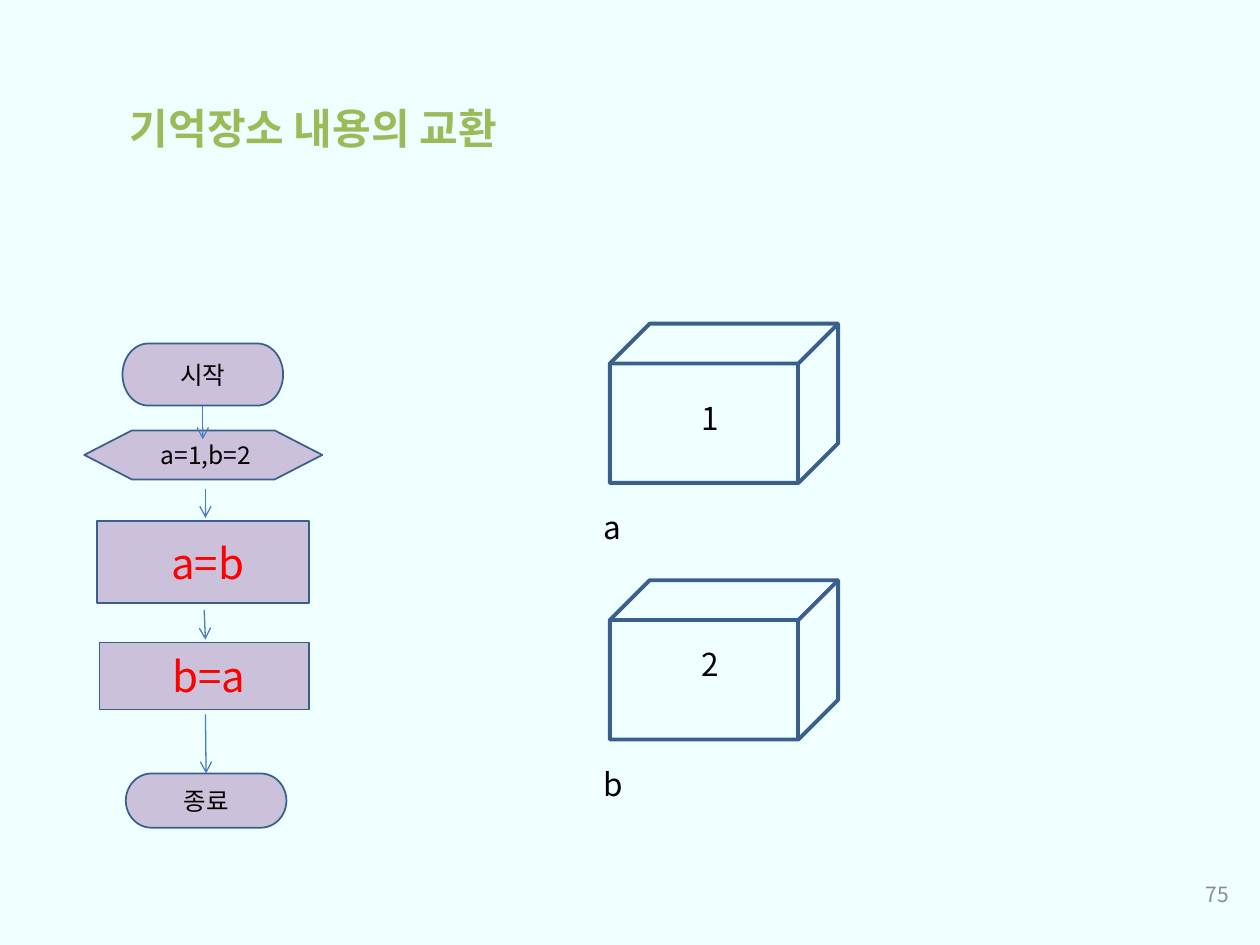
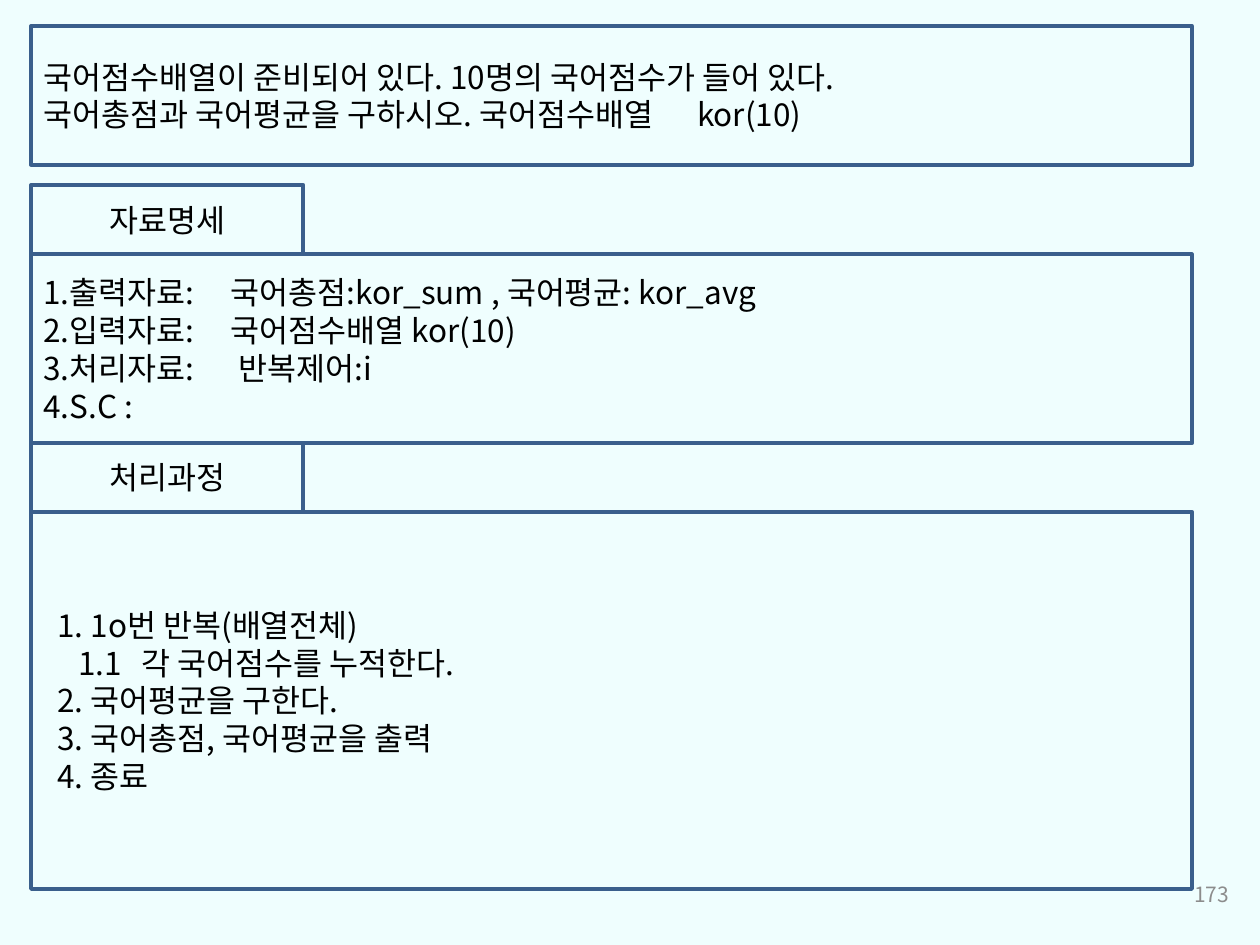
from lxml import etree
from pptx import Presentation
from pptx import util as u
from pptx.dml.color import RGBColor
from pptx.enum import shapes, text
from pptx.oxml.ns import qn

FONT = "Noto Sans CJK KR"
COLORS = {
    "background": "EFFEFE",
    "title": "9BBB59",
    "step": "CCC1DA",
    "outline": "3A5F8C",
    "arrow": "4B7EBC",
    "text": "000000",
    "assignment": "FF0000",
    "number": "8C8C8C",
}
ALIGN = text.PP_ALIGN
ANCHOR = text.MSO_ANCHOR
KIND = shapes.MSO_SHAPE


def write(shape, lines, size=18, color="text", bold=False, align=ALIGN.LEFT,
          anchor=ANCHOR.TOP, wrap=True, shift=0):
    """Each line is a string or a tuple (string, left indent, tab stop)."""
    frame = shape.text_frame
    frame.auto_size = text.MSO_AUTO_SIZE.NONE
    frame.word_wrap = wrap
    frame.vertical_anchor = anchor
    frame.margin_left = u.Pt(7.2 + shift)
    for index, line in enumerate(lines):
        content, indent, tab = (line, 0, 0) if isinstance(line, str) else line
        paragraph = frame.add_paragraph() if index else frame.paragraphs[0]
        paragraph.alignment = align
        paragraph.line_spacing = u.Pt(size * 1.2)
        paragraph.space_before = u.Pt(0)
        properties = paragraph._p.get_or_add_pPr()
        if indent:
            properties.set("marL", str(u.Pt(indent)))
            properties.set("indent", "0")
        if tab:
            tabs = etree.SubElement(properties, qn("a:tabLst"))
            etree.SubElement(tabs, qn("a:tab"), pos=str(u.Pt(tab)), algn="l")
        run = paragraph.add_run()
        run.text = content
        run.font.size = u.Pt(size)
        run.font.bold = bold
        run.font.color.rgb = RGBColor.from_string(COLORS[color])
        run.font.name = FONT
        etree.SubElement(run._r.get_or_add_rPr(), qn("a:ea"), typeface=FONT)


def add_outlined(slide, kind, box, line_width=2.25, fill=None):
    shape = slide.shapes.add_shape(kind, *map(u.Pt, box))
    shape.shadow.inherit = False
    if fill:
        shape.fill.solid()
        shape.fill.fore_color.rgb = RGBColor.from_string(COLORS[fill])
    else:
        shape.fill.background()
    shape.line.color.rgb = RGBColor.from_string(COLORS["outline"])
    shape.line.width = u.Pt(line_width)
    return shape


presentation = Presentation()
presentation.slide_width, presentation.slide_height = u.Pt(720), u.Pt(540)

# Shared background, slides and page numbers
background = presentation.slide_master.background.fill
background.solid()
background.fore_color.rgb = RGBColor.from_string(COLORS["background"])
swap_slide = presentation.slides.add_slide(presentation.slide_layouts[5])
score_slide = presentation.slides.add_slide(presentation.slide_layouts[6])
for slide, number in ((swap_slide, "75"), (score_slide, "173")):
    box = slide.shapes.add_textbox(u.Pt(541.5), u.Pt(496.8), u.Pt(168), u.Pt(28.8))
    write(box, [number], size=12, color="number", align=ALIGN.RIGHT, anchor=ANCHOR.MIDDLE)

# Slide 1: title
title = swap_slide.shapes.title
title.left, title.top, title.width, title.height = map(u.Pt, (54, 54.7, 250, 36))
write(title, ["기억장소 내용의 교환"], size=24, color="title", bold=True,
      align=ALIGN.CENTER, anchor=ANCHOR.MIDDLE, wrap=False)

# Slide 1: flowchart steps
steps = [
    (KIND.FLOWCHART_TERMINATOR, (70, 196.3, 91.8, 35.5), "시작", 14, "text", 0),
    (KIND.FLOWCHART_PREPARATION, (48.2, 246, 136, 28), "a=1,b=2", 14, "text", 3),
    (KIND.FLOWCHART_PROCESS, (55.4, 297.8, 121.2, 47), "a=b", 24, "assignment", 5.4),
    (KIND.FLOWCHART_PROCESS, (56.9, 367.2, 119.7, 38.2), "b=a", 24, "assignment", 5.4),
    (KIND.FLOWCHART_TERMINATOR, (71.9, 442, 91.8, 31), "종료", 14, "text", 0),
]
step_shapes = []
for kind, box, label, size, color, shift in steps:
    step = add_outlined(swap_slide, kind, box, line_width=1, fill="step")
    write(step, [label], size=size, color=color, align=ALIGN.CENTER,
          anchor=ANCHOR.MIDDLE, shift=shift)
    step_shapes.append(step)

# Slide 1: arrows between the steps
arrows = []
for start_x, start_y, end_x, end_y in (
    (115.9, 231.8, 115.9, 251),
    (117.4, 279.4, 117.4, 296),
    (116.7, 348.5, 117.4, 365.5),
    (117.4, 408.2, 117.8, 442),
):
    arrow = swap_slide.shapes.add_connector(
        shapes.MSO_CONNECTOR.STRAIGHT, u.Pt(start_x), u.Pt(start_y), u.Pt(end_x), u.Pt(end_y))
    arrow.line.color.rgb = RGBColor.from_string(COLORS["arrow"])
    arrow.line.width = u.Pt(0.75)
    etree.SubElement(arrow.line._get_or_add_ln(), qn("a:tailEnd"), type="arrow")
    etree.SubElement(arrow._element.spPr, qn("a:effectLst"))
    arrows.append(arrow)
arrows[0].begin_connect(step_shapes[0], 2)
arrows[-1].end_connect(step_shapes[-1], 0)

# Slide 1: storage cubes with value and variable name
for cube_top, value_top, value, name in ((185, 224.6, "1", "a"), (331.6, 365, "2", "b")):
    add_outlined(swap_slide, KIND.CUBE, (348.5, cube_top, 130.5, 91))
    for content, left, top, width in ((name, 337.7, cube_top + 102, 34),
                                      (value, 393.8, value_top, 51)):
        box = swap_slide.shapes.add_textbox(u.Pt(left), u.Pt(top), u.Pt(width), u.Pt(28.8))
        write(box, [content])

# Slide 2: problem, data description and procedure
LEFT, WIDE, TAB_WIDTH, TAB_HEIGHT = 17.8, 663.3, 155.5, 39.6
panels = [
    (15, 79.2, ["국어점수배열이 준비되어 있다. 10명의 국어점수가 들어 있다.",
                ("국어총점과 국어평균을 구하시오. 국어점수배열\tkor(10)", 0, 373.5)]),
    (145.3, 108, [("1.출력자료:\t국어총점:kor_sum , 국어평균: kor_avg", 0, 107),
                  ("2.입력자료:\t국어점수배열 kor(10)", 0, 107),
                  ("3.처리자료:\t반복제어:i", 0, 111.5),
                  "4.S.C :"]),
    (292.5, 215.5, [("1. 1o번 반복(배열전체)", 8, 0),
                    ("1.1\t각 국어점수를 누적한다.", 20, 58),
                    ("2. 국어평균을 구한다.", 8, 0),
                    ("3. 국어총점, 국어평균을 출력", 8, 0),
                    ("4. 종료", 8, 0)]),
]
for (top, height, lines), heading in zip(panels, (None, "자료명세", "처리과정")):
    if heading:
        tab_box = (LEFT, top - TAB_HEIGHT, TAB_WIDTH, TAB_HEIGHT)
        write(add_outlined(score_slide, KIND.RECTANGLE, tab_box), [heading],
              align=ALIGN.CENTER, anchor=ANCHOR.MIDDLE)
    panel = add_outlined(score_slide, KIND.RECTANGLE, (LEFT, top, WIDE, height))
    write(panel, lines, anchor=ANCHOR.MIDDLE)

presentation.save("out.pptx")
